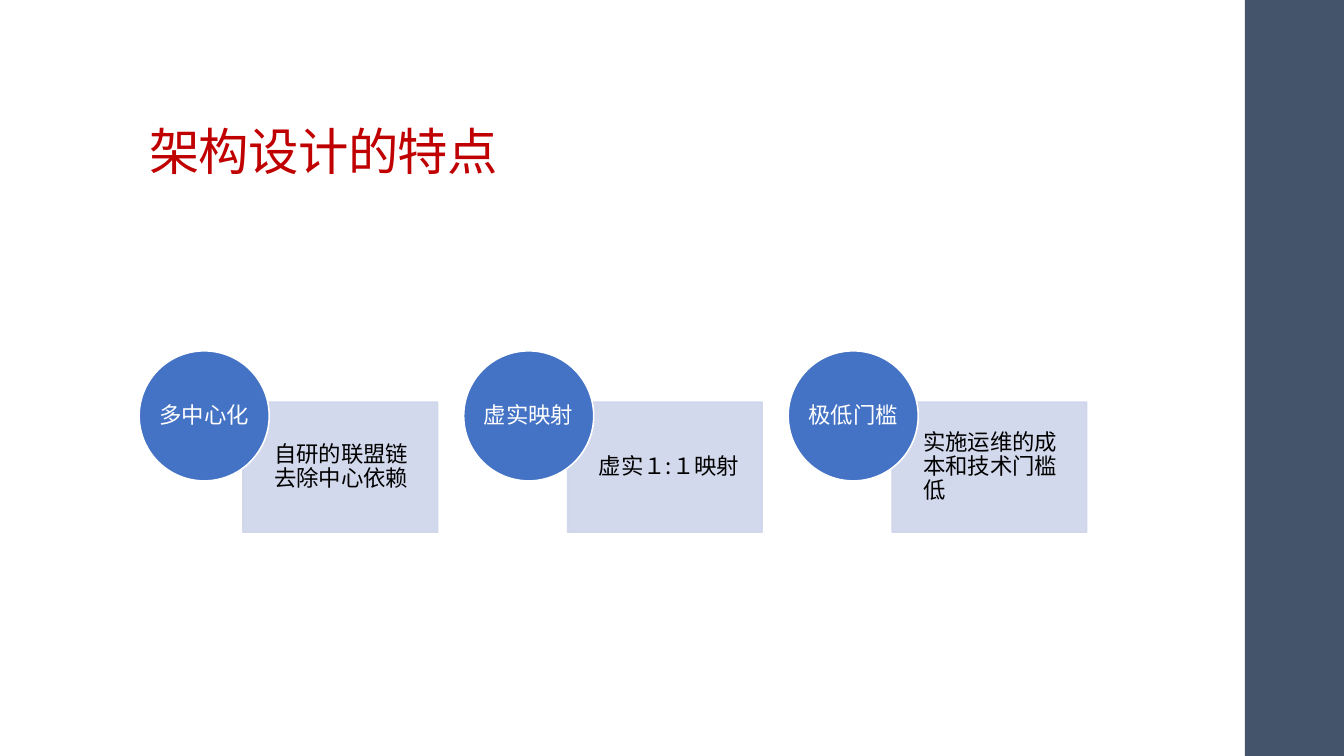
from dataclasses import dataclass

import pptx
import pptx.dml.color
import pptx.enum.shapes
import pptx.enum.text
import pptx.oxml
import pptx.oxml.ns
import pptx.shapes.autoshape
import pptx.slide
import pptx.text.text
import pptx.util
from lxml import etree

Pt = pptx.util.Pt
RGBColor = pptx.dml.color.RGBColor
Align = pptx.enum.text.PP_ALIGN
Anchor = pptx.enum.text.MSO_ANCHOR
Preset = pptx.enum.shapes.MSO_SHAPE

FONT = "Noto Sans CJK SC"
SLATE = RGBColor(0x44, 0x54, 0x6A)
RED = RGBColor(0xC0, 0x00, 0x00)
BLUE = RGBColor(0x44, 0x72, 0xC4)
PALE_BLUE = RGBColor(0xCF, 0xD5, 0xEA)
WHITE = RGBColor(0xFF, 0xFF, 0xFF)
BLACK = RGBColor(0x00, 0x00, 0x00)

SLIDE_WIDTH, SLIDE_HEIGHT = 960, 540
SIDEBAR_LEFT = 889.2
FIRST_LEFT, FEATURE_PITCH = 99.4, 231.8
CIRCLE_TOP, CIRCLE_SIZE = 250.6, 92.9
CARD_OFFSET, CARD_TOP, CARD_WIDTH = 74.2, 287.3, 139
CARD_INSETS = (22.3, 8.6, 8.6, 8.6)
NO_INSETS = (0, 0, 0, 0)


@dataclass(frozen=True)
class Feature:
    """A circled keyword and the card that explains it."""
    keyword: str
    detail: str


@dataclass(frozen=True)
class Box:
    """Position and size in points."""
    left: float
    top: float
    width: float
    height: float


FEATURES = [
    Feature("多中心化", "自研的联盟链去除中心依赖"),
    Feature("虚实映射", "虚实１:１映射"),
    Feature("极低门槛", "实施运维的成本和技术门槛低"),
]


def write_text(frame: pptx.text.text.TextFrame, text: str, size: float, color: RGBColor,
               align: Align, anchor: Anchor, insets: tuple[float, ...]) -> None:
    """Fill a text frame with one formatted paragraph."""
    frame.text = text
    frame.word_wrap = True
    frame.auto_size = pptx.enum.text.MSO_AUTO_SIZE.NONE
    frame.vertical_anchor = anchor
    (frame.margin_left, frame.margin_top,
     frame.margin_right, frame.margin_bottom) = map(Pt, insets)
    para = frame.paragraphs[0]
    para.alignment = align
    para.line_spacing = 0.9
    span = para.runs[0]
    span.font.size = Pt(size)
    span.font.name = FONT
    span.font.color.rgb = color
    east_asian = etree.SubElement(span.font._element, pptx.oxml.ns.qn("a:ea"))
    east_asian.set("typeface", FONT)


def add_panel(page: pptx.slide.Slide, preset: Preset, box: Box, fill: RGBColor,
              outline: RGBColor | None = None) -> pptx.shapes.autoshape.Shape:
    """Add a flat filled shape, with a thin outline if a colour is given."""
    panel = page.shapes.add_shape(
        preset, Pt(box.left), Pt(box.top), Pt(box.width), Pt(box.height))
    panel.shadow.inherit = False
    panel.fill.solid()
    panel.fill.fore_color.rgb = fill
    if outline is None:
        panel.line.fill.background()
    else:
        panel.line.color.rgb = outline
        panel.line.width = Pt(1.1)
    return panel


def set_opacity(panel: pptx.shapes.autoshape.Shape, percent: int) -> None:
    """Make the fill and outline of a shape partly transparent."""
    for color in panel._element.spPr.iter(pptx.oxml.ns.qn("a:srgbClr")):
        alpha = etree.SubElement(color, pptx.oxml.ns.qn("a:alpha"))
        alpha.set("val", str(percent * 1000))


def add_title(page: pptx.slide.Slide, text: str) -> None:
    """Place and format the title placeholder."""
    title = page.shapes.title
    title.left, title.top, title.width, title.height = map(Pt, (99.4, 20.9, 763.2, 112.3))
    write_text(title.text_frame, text, 36, RED, Align.LEFT, Anchor.BOTTOM,
               (7.2, 2.2, 7.2, 3.6))
    title.text_frame.paragraphs[0].runs[0].font._element.set("spc", "-50")


def add_feature(page: pptx.slide.Slide, feature: Feature, left: float) -> None:
    """Draw a detail card with its keyword circle over the corner."""
    card_box = Box(left + CARD_OFFSET, CARD_TOP, CARD_WIDTH, CIRCLE_SIZE)
    card = add_panel(page, Preset.RECTANGLE, card_box, PALE_BLUE, PALE_BLUE)
    set_opacity(card, 90)
    write_text(card.text_frame, feature.detail, 16, BLACK, Align.LEFT,
               Anchor.MIDDLE, CARD_INSETS)
    circle_box = Box(left, CIRCLE_TOP, CIRCLE_SIZE, CIRCLE_SIZE)
    circle = add_panel(page, Preset.OVAL, circle_box, BLUE, WHITE)
    write_text(circle.text_frame, feature.keyword, 16, WHITE, Align.CENTER,
               Anchor.MIDDLE, NO_INSETS)


def main() -> None:
    """Build and save the deck."""
    deck = pptx.Presentation()
    deck.slide_width, deck.slide_height = Pt(SLIDE_WIDTH), Pt(SLIDE_HEIGHT)
    page = deck.slides.add_slide(deck.slide_layouts.get_by_name("Title Only"))
    sidebar = Box(SIDEBAR_LEFT, 0, SLIDE_WIDTH - SIDEBAR_LEFT, SLIDE_HEIGHT)
    add_panel(page, Preset.RECTANGLE, sidebar, SLATE)
    add_title(page, "架构设计的特点")
    for index, feature in enumerate(FEATURES):
        add_feature(page, feature, FIRST_LEFT + index * FEATURE_PITCH)
    deck.save("out.pptx")


main()
